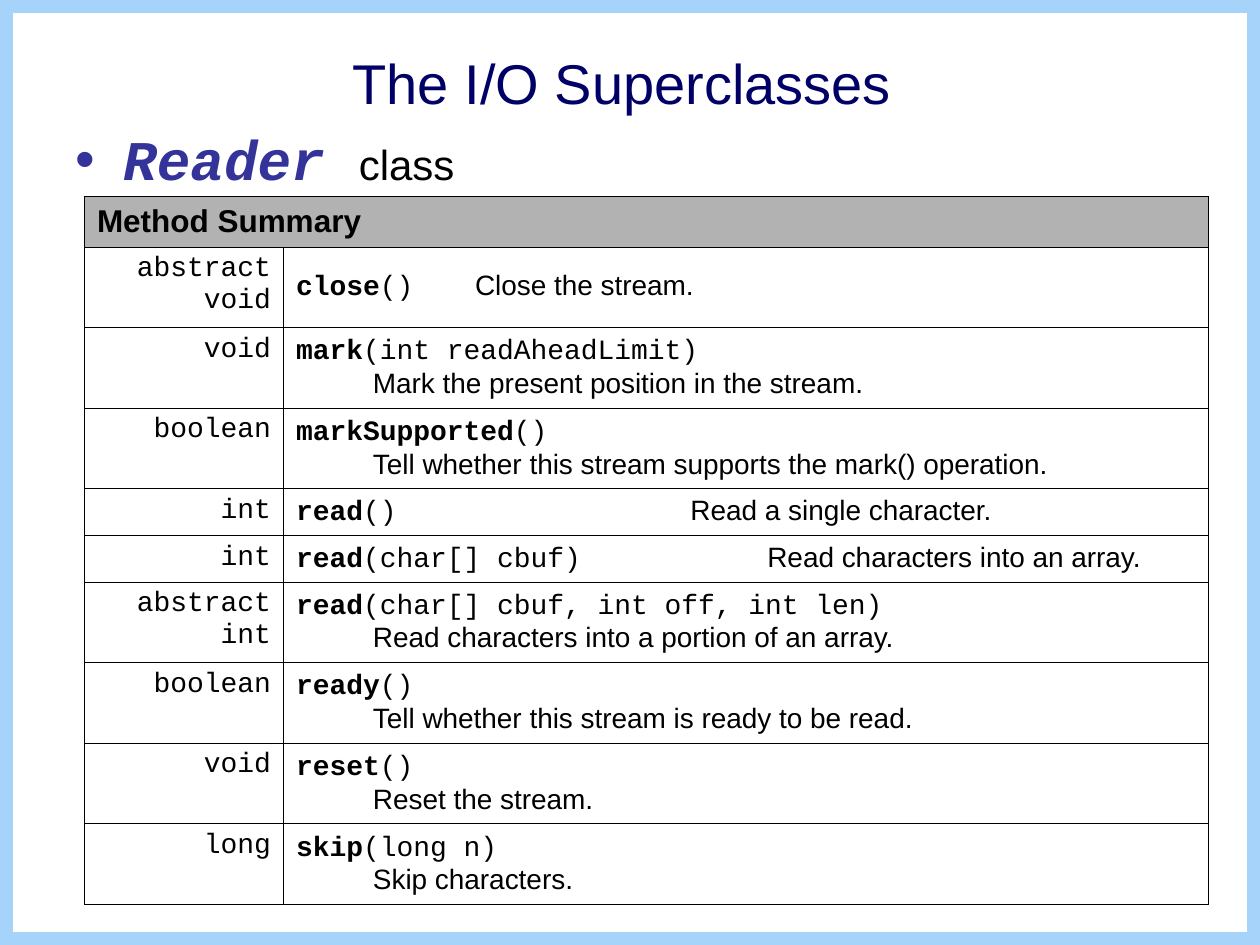
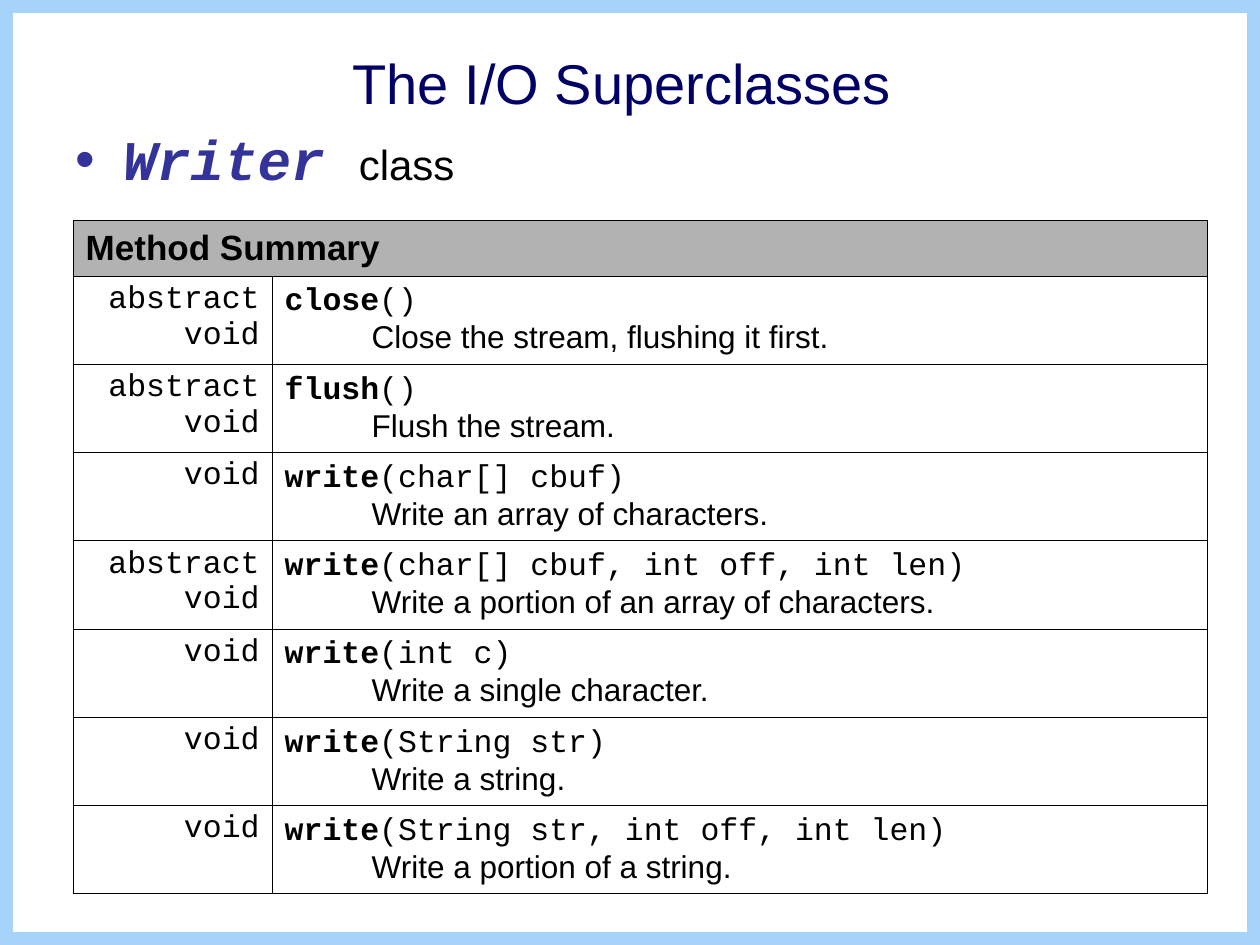
from dataclasses import dataclass

from lxml import etree
from pptx import Presentation
from pptx.dml.color import RGBColor
from pptx.enum.shapes import MSO_SHAPE
from pptx.enum.text import MSO_ANCHOR, PP_ALIGN
from pptx.oxml.ns import qn
from pptx.util import Inches, Pt

RECT = MSO_SHAPE.RECTANGLE
CENTER, RIGHT = PP_ALIGN.CENTER, PP_ALIGN.RIGHT
MIDDLE, TOP = MSO_ANCHOR.MIDDLE, MSO_ANCHOR.TOP
SANS, MONO = "Arial", "Courier New"
COLORS = {
    "frame": "A5D3F9",
    "title": "000066",
    "accent": "333399",
    "text": "000000",
    "header": "B2B2B2",
    "cell": "FFFFFF",
}
TITLE = "The I/O Superclasses "
TYPE_WIDTH = 1.58


@dataclass
class Method:
    returns: str
    name: str
    args: str
    summary: str
    tab: float = 0


@dataclass
class ClassSlide:
    name: str
    left: float
    top: float
    width: float
    header_height: float
    row_height: float
    inline_height: float
    size: int
    indent: float
    methods: list[Method]


READER = ClassSlide("Reader", 0.67, 1.56, 8.92, 0.4, 0.64, 0.37, 16, 0.61, [
    Method("abstract void", "close", "()", "Close the stream.", 1.42),
    Method("void", "mark", "(int readAheadLimit)", "Mark the present position in the stream."),
    Method("boolean", "markSupported", "()",
           "Tell whether this stream supports the mark() operation."),
    Method("int", "read", "()", "Read a single character.", 3.13),
    Method("int", "read", "(char[] cbuf)", "Read characters into an array.", 3.74),
    Method("abstract int", "read", "(char[] cbuf, int off, int len)",
           "Read characters into a portion of an array."),
    Method("boolean", "ready", "()", "Tell whether this stream is ready to be read."),
    Method("void", "reset", "()", "Reset the stream."),
    Method("long", "skip", "(long n)", "Skip characters."),
])
WRITER = ClassSlide("Writer", 0.58, 1.75, 9, 0.44, 0.7, 0.7, 18, 0.69, [
    Method("abstract void", "close", "()", "Close the stream, flushing it first."),
    Method("abstract void", "flush", "()", "Flush the stream."),
    Method("void", "write", "(char[] cbuf)", "Write an array of characters."),
    Method("abstract void", "write", "(char[] cbuf, int off, int len)",
           "Write a portion of an array of characters."),
    Method("void", "write", "(int c)", "Write a single character."),
    Method("void", "write", "(String str)", "Write a string."),
    Method("void", "write", "(String str, int off, int len)", "Write a portion of a string."),
])


def add_run(p, text: str, size: int, font: str, color: str = "text",
            bold: bool = False, italic: bool = False) -> None:
    r = p.add_run()
    r.text = text
    r.font.size = Pt(size)
    r.font.name = font
    r.font.bold = bold
    r.font.italic = italic
    r.font.color.rgb = RGBColor.from_string(COLORS[color])


def add_frame(slide, width: int, height: int) -> None:
    sp = slide.shapes.add_shape(RECT, 0, 0, width, height)
    sp.shadow.inherit = False
    sp.fill.background()
    sp.line.color.rgb = RGBColor.from_string(COLORS["frame"])
    sp.line.width = Pt(15)


def add_text(slide, top: float, height: float):
    box = slide.shapes.add_textbox(Inches(0.5), Inches(top), Inches(9), Inches(height))
    box.text_frame.word_wrap = True
    return box.text_frame


def add_bullet(p) -> None:
    p.line_spacing = 0.9
    p.space_before = Pt(6)
    pPr = p._p.get_or_add_pPr()
    pPr.set("marL", str(Inches(0.38)))
    pPr.set("indent", str(-Inches(0.38)))
    clr = etree.SubElement(pPr, qn("a:buClr"))
    etree.SubElement(clr, qn("a:srgbClr"), val=COLORS["accent"])
    etree.SubElement(pPr, qn("a:buFont"), typeface=SANS)
    etree.SubElement(pPr, qn("a:buChar"), char="•")


def style_cell(cell, fill: str, anchor) -> None:
    cell.vertical_anchor = anchor
    cell.fill.solid()
    cell.fill.fore_color.rgb = RGBColor.from_string(COLORS[fill])
    tcPr = cell._tc.get_or_add_tcPr()
    for i, side in enumerate(("lnL", "lnR", "lnT", "lnB")):
        ln = etree.Element(qn(f"a:{side}"), w=str(Pt(0.45)))
        solid = etree.SubElement(ln, qn("a:solidFill"))
        etree.SubElement(solid, qn("a:srgbClr"), val=COLORS["text"])
        tcPr.insert(i, ln)


def fill_method(cell, method: Method, spec: ClassSlide) -> None:
    tf = cell.text_frame
    p = tf.paragraphs[0]
    add_run(p, method.name, spec.size, MONO, bold=True)
    add_run(p, method.args, spec.size, MONO)
    if method.tab:
        tabs = etree.SubElement(p._p.get_or_add_pPr(), qn("a:tabLst"))
        etree.SubElement(tabs, qn("a:tab"), pos=str(Inches(method.tab)), algn="l")
        add_run(p, "\t" + method.summary, spec.size, SANS)
    else:
        p = tf.add_paragraph()
        p._p.get_or_add_pPr().set("marL", str(Inches(spec.indent)))
        add_run(p, method.summary, spec.size, SANS)


def add_methods(slide, spec: ClassSlide) -> None:
    heights = [spec.header_height] + [
        spec.inline_height if m.tab and " " not in m.returns else spec.row_height
        for m in spec.methods]
    table = slide.shapes.add_table(
        len(heights), 2, Inches(spec.left), Inches(spec.top),
        Inches(spec.width), Inches(sum(heights))).table
    table.first_row = table.horz_banding = False
    table.columns[0].width = Inches(TYPE_WIDTH)
    table.columns[1].width = Inches(spec.width - TYPE_WIDTH)
    for row, height in zip(table.rows, heights):
        row.height = Inches(height)

    header = table.cell(0, 0)
    header.merge(table.cell(0, 1))
    for col in range(2):
        style_cell(table.cell(0, col), "header", MIDDLE)
    add_run(header.text_frame.paragraphs[0], "Method Summary", spec.size + 2, SANS, bold=True)

    for row, method in enumerate(spec.methods, 1):
        returns, details = table.cell(row, 0), table.cell(row, 1)
        style_cell(returns, "cell", TOP)
        style_cell(details, "cell", MIDDLE)
        p = returns.text_frame.paragraphs[0]
        p.alignment = RIGHT
        add_run(p, method.returns, spec.size, MONO)
        fill_method(details, method, spec)


def add_class_slide(prs, spec: ClassSlide) -> None:
    slide = prs.slides.add_slide(prs.slide_layouts[6])
    add_frame(slide, prs.slide_width, prs.slide_height)
    tf = add_text(slide, 0.3, 0.7)
    tf.vertical_anchor = MIDDLE
    p = tf.paragraphs[0]
    p.alignment = CENTER
    add_run(p, TITLE, 32, SANS, "title")
    p = add_text(slide, 1, 0.58).paragraphs[0]
    add_bullet(p)
    add_run(p, spec.name + " ", 32, MONO, "accent", bold=True, italic=True)
    add_run(p, "class", 24, SANS)
    add_methods(slide, spec)


def main() -> None:
    prs = Presentation()
    prs.slide_width, prs.slide_height = Inches(10), Inches(7.5)
    for class_slide in (READER, WRITER):
        add_class_slide(prs, class_slide)
    prs.save("out.pptx")


if __name__ == "__main__":
    main()
